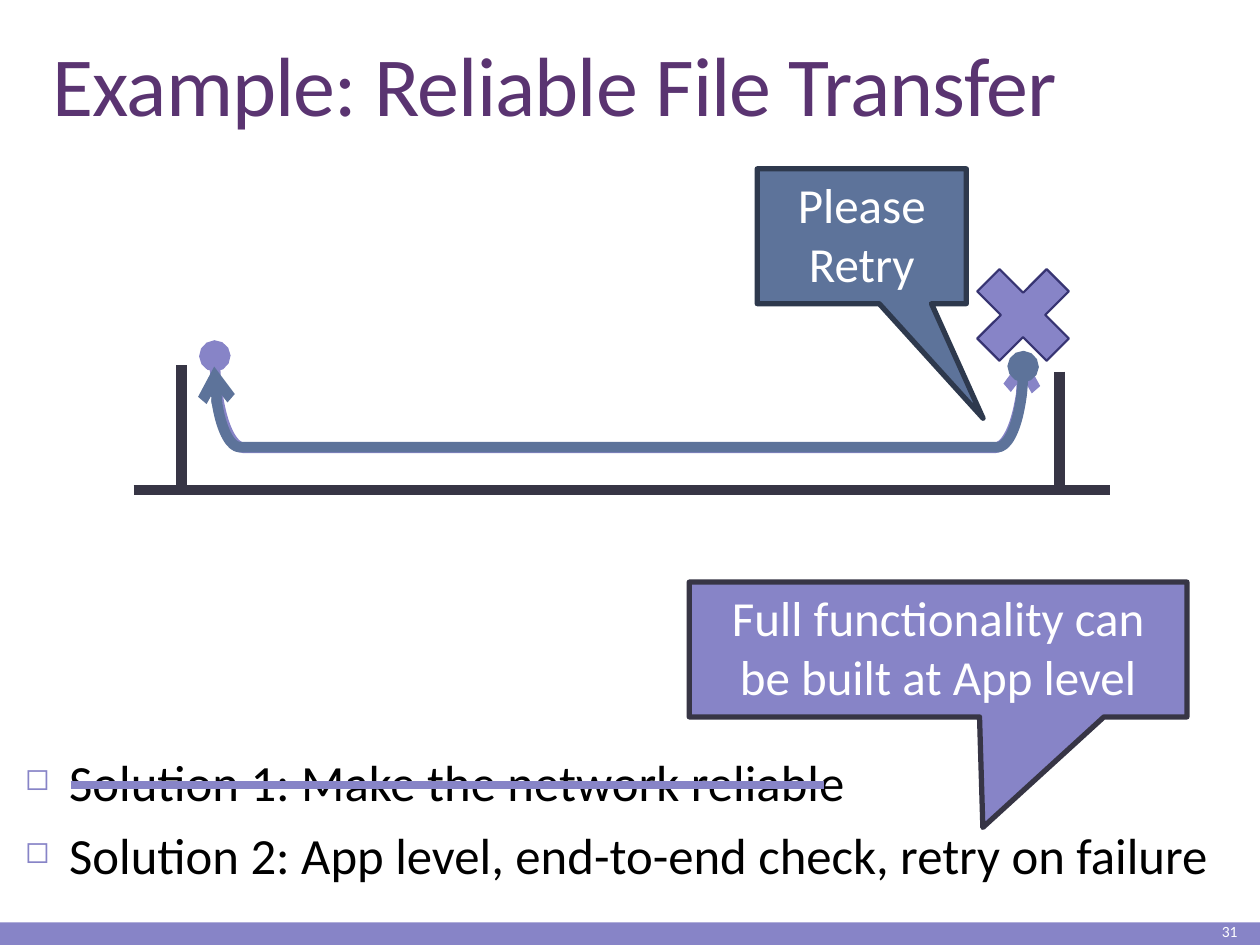
from dataclasses import dataclass

from lxml import etree
from pptx import Presentation
from pptx.dml.color import RGBColor
from pptx.enum.shapes import MSO_CONNECTOR, MSO_SHAPE as SHAPE
from pptx.enum.text import MSO_ANCHOR as ANCHOR, PP_ALIGN as ALIGN
from pptx.oxml.ns import qn
from pptx.util import Inches, Pt

COLS, ROWS = 100, 75
WIDTH, HEIGHT = Inches(10), Inches(7.5)


@dataclass(frozen=True)
class Theme:
    font: str = "Calibri"
    title: str = "5A3471"
    text: str = "000000"
    light: str = "FFFFFF"
    violet: str = "8784C7"
    violet_edge: str = "373472"
    blue: str = "5D739A"
    blue_edge: str = "2E394D"
    dark: str = "373545"
    title_size: float = 48
    body_size: float = 29
    callout_size: float = 28
    number_size: float = 8.9
    thick: float = 6
    strike: float = 4.5
    edge: float = 3
    thin: float = 1.25


T = Theme()


@dataclass(frozen=True)
class Box:
    """An area measured in grid columns and rows."""
    x: float
    y: float
    w: float
    h: float

    def inner(self, dx, dy, w, h):
        return Box(self.x + dx, self.y + dy, w, h)

    def emu(self):
        return (col(self.x), row(self.y), col(self.w), row(self.h))


def col(n):
    return round(WIDTH * n / COLS)


def row(n):
    return round(HEIGHT * n / ROWS)


def rgb(value):
    return RGBColor.from_string(value)


def style_line(line, color, width):
    line.color.rgb = rgb(color)
    line.width = Pt(width)


def add_shape(s, kind, box, fill=None, edge=None, width=T.thin):
    sp = s.shapes.add_shape(kind, *box.emu())
    sp.shadow.inherit = False
    if fill:
        sp.fill.solid()
        sp.fill.fore_color.rgb = rgb(fill)
    else:
        sp.fill.background()
    if edge:
        style_line(sp.line, edge, width)
    else:
        sp.line.fill.background()
    return sp


def add_line(s, x1, y1, x2, y2, color, width):
    line = s.shapes.add_connector(MSO_CONNECTOR.STRAIGHT, col(x1), row(y1), col(x2), row(y2))
    style_line(line.line, color, width)
    etree.SubElement(line._element.spPr, qn("a:effectLst"))


def style_paragraph(p, size, color, align=ALIGN.LEFT):
    p.alignment = align
    for r in p.runs:
        r.font.name = T.font
        r.font.size = Pt(size)
        r.font.color.rgb = rgb(color)


def add_text(s, box, text, size, color, align=ALIGN.LEFT, anchor=ANCHOR.TOP):
    tf = s.shapes.add_textbox(*box.emu()).text_frame
    tf.word_wrap = True
    tf.vertical_anchor = anchor
    tf.text = text
    for p in tf.paragraphs:
        style_paragraph(p, size, color, align)
    return tf


def add_bullet(p):
    pPr = p._p.get_or_add_pPr()
    pPr.set("marL", str(col(3.5)))
    pPr.set("indent", str(-col(3.5)))
    color = etree.SubElement(pPr, qn("a:buClr"))
    etree.SubElement(color, qn("a:srgbClr"), val=T.violet)
    etree.SubElement(pPr, qn("a:buSzPct"), val="60000")
    etree.SubElement(pPr, qn("a:buChar"), char="◻")


def add_title(s, box, text):
    tf = add_text(s, box, text, T.title_size, T.title, anchor=ANCHOR.BOTTOM)
    p = tf.paragraphs[0]
    p.line_spacing = 0.85
    p.runs[0]._r.get_or_add_rPr().set("spc", "-50")


def add_footer(s, box, number):
    add_shape(s, SHAPE.RECTANGLE, box, T.violet)
    add_text(s, box.inner(88.4, -0.4, 10.8, 2.2), number, T.number_size, T.light,
             ALIGN.RIGHT, ANCHOR.MIDDLE)


def add_route(s, box, color, leftward=False):
    """Draw a U-shaped arrow: a left bracket turned so that it opens upward."""
    upright = box.inner((box.w - box.h) / 2, (box.h - box.w) / 2, box.h, box.w)
    sp = add_shape(s, SHAPE.LEFT_BRACKET, upright, edge=color, width=T.thick)
    sp.adjustments[0] = 0.32
    sp.rotation = 270
    if leftward:
        sp._element.spPr.find(qn("a:xfrm")).set("flipV", "1")
    ln = sp.line._get_or_add_ln()
    etree.SubElement(ln, qn("a:headEnd"), type="arrow")
    etree.SubElement(ln, qn("a:tailEnd"), type="oval")


def add_network(s, box):
    """Draw the two hosts on the wire, the failed transfer and the reply."""
    base = box.y + box.h
    for dx, dy in ((3.8, 0), (73.5, 0.5)):
        add_line(s, box.x + dx, box.y + dy, box.x + dx, base, T.dark, T.thick)
    add_line(s, box.x, base, box.x + box.w, base, T.dark, T.thick)
    add_route(s, box.inner(6.45, -0.75, 64.2, 7.3), T.violet)
    add_shape(s, SHAPE.MATH_MULTIPLY, box.inner(65.3, -9.3, 10.6, 10.6), T.violet, T.violet_edge)
    add_route(s, box.inner(6.4, 0.1, 64.2, 6.4), T.blue, leftward=True)


def add_callout(s, box, text, tip, fill, edge):
    """Add a speech box; tip is the pointer's end as shares of the box from its centre."""
    sp = add_shape(s, SHAPE.RECTANGULAR_CALLOUT, box, fill, edge, T.edge)
    sp.adjustments[0], sp.adjustments[1] = tip
    tf = sp.text_frame
    tf.word_wrap = True
    tf.vertical_anchor = ANCHOR.MIDDLE
    tf.margin_bottom = row(1)
    tf.text = text
    style_paragraph(tf.paragraphs[0], T.callout_size, T.light, ALIGN.CENTER)


def add_solutions(s, box, lines):
    """List the solutions and strike out the first one."""
    tf = add_text(s, box, "\n".join(lines), T.body_size, T.text)
    for i, p in enumerate(tf.paragraphs):
        add_bullet(p)
        p.space_before = Pt(7 if i else 0)
    y = box.y + 3.2
    add_line(s, box.x + 4.6, y, box.x + 64.4, y, T.violet, T.strike)


def main():
    prs = Presentation()
    prs.slide_width, prs.slide_height = WIDTH, HEIGHT
    s = prs.slides.add_slide(prs.slide_layouts[6])
    add_footer(s, Box(0, 73.2, COLS, 1.8), "31")
    add_title(s, Box(3.2, 3.1, 94.8, 8), "Example: Reliable File Transfer")
    add_network(s, Box(10.6, 29, 77.5, 9.9))
    add_solutions(s, Box(1, 59.1, 96.7, 13.7), (
        "Solution 1: Make the network reliable",
        "Solution 2: App level, end-to-end check, retry on failure"))
    add_callout(s, Box(60.1, 13.4, 16.6, 10.7), "Please Retry", (0.58, 1.35),
                T.blue, T.blue_edge)
    add_callout(s, Box(54.7, 46.2, 39.5, 10.7), "Full functionality can be built at App level",
                (0.09, 1.32), T.violet, T.dark)
    prs.save("out.pptx")


if __name__ == "__main__":
    main()
